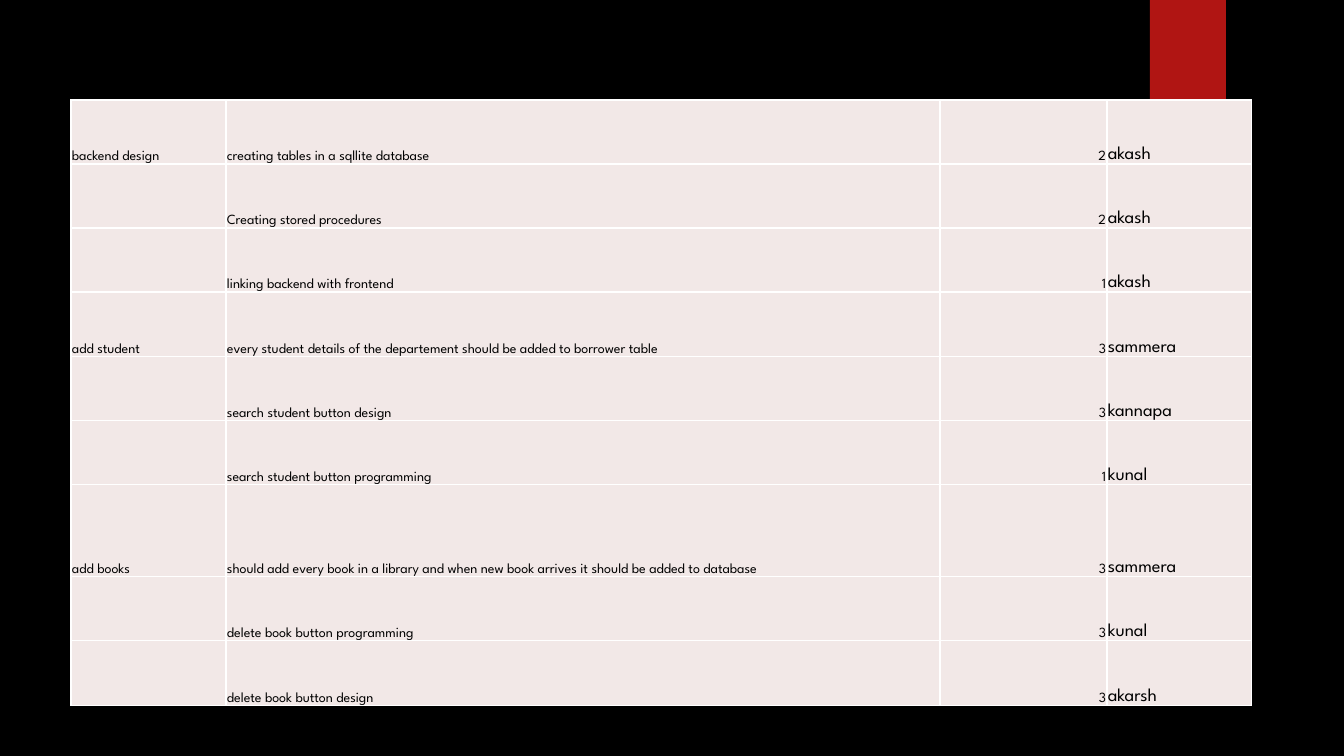
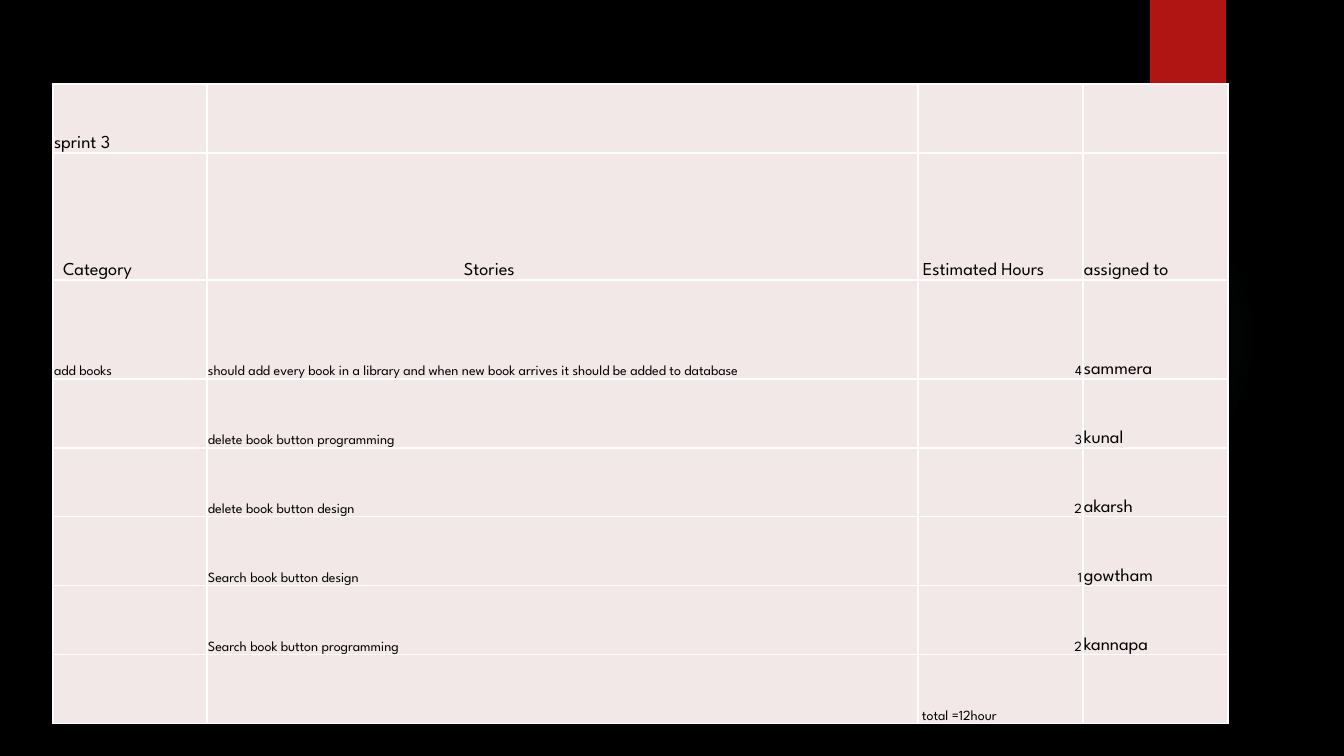
from itertools import pairwise

from lxml import etree
from pptx import Presentation
from pptx.dml.color import RGBColor
from pptx.enum.shapes import MSO_SHAPE
from pptx.enum.text import MSO_ANCHOR, PP_ALIGN
from pptx.oxml import parse_xml
from pptx.oxml.ns import nsdecls, qn
from pptx.util import Pt

RECT, OVAL = MSO_SHAPE.RECTANGLE, MSO_SHAPE.OVAL
BOTTOM = MSO_ANCHOR.BOTTOM
LEFT, RIGHT = PP_ALIGN.LEFT, PP_ALIGN.RIGHT

THEME = {
    "background": "000000", "band": "B01513", "glow": "50B9C1",
    "cell": "F2E8E7", "border": "FFFFFF", "text": "000000",
    "font": "League Spartan", "small": 10, "large": 13, "border_width": 1,
}
GLOW_STOPS = [(0, 7), (36, 6), (69, 0)]  # position and opacity, percent
HOURS, ASSIGNEE = 2, 3  # column numbers

# Column and row edges are in pixels.
# Indents map (row, column) to pixels; large rows use the large size throughout.
TABLES = [
    {
        "columns": [71, 226, 940, 1107, 1252],
        "rows": [100, 164, 228, 292, 357, 421, 485, 577, 641, 706],
        "large_rows": [],
        "indents": {},
        "cells": [
            ("backend design", "creating tables in a sqllite database", "2", "akash"),
            ("", "Creating stored procedures", "2", "akash"),
            ("", "linking backend with frontend", "1", "akash"),
            ("add student", "every student details of the departement should be "
             "added to borrower table", "3", "sammera"),
            ("", "search student button design", "3", "kannapa"),
            ("", "search student button programming", "1", "kunal"),
            ("add books", "should add every book in a library and when new book "
             "arrives it should be added to database", "3", "sammera"),
            ("", "delete book button programming", "3", "kunal"),
            ("", "delete book button design", "3", "akarsh"),
        ],
    },
    {
        "columns": [53, 207, 918, 1083, 1228],
        "rows": [84, 153, 280, 379, 448, 517, 586, 655, 724],
        "large_rows": [0, 1],
        "indents": {(1, 0): 9, (1, 1): 256, (1, 2): 4, (7, 2): 3},
        "cells": [
            ("sprint 3", "", "", ""),
            ("Category", "Stories", "Estimated Hours", "assigned to"),
            ("add books", "should add every book in a library and when new book "
             "arrives it should be added to database", "4", "sammera"),
            ("", "delete book button programming", "3", "kunal"),
            ("", "delete book button design", "2", "akarsh"),
            ("", "Search book button design", "1", "gowtham"),
            ("", "Search book button programming", "2", "kannapa"),
            ("", "", "total =12hour", ""),
        ],
    },
]


def px(n):
    """Turn pixels into EMU."""
    return round(n * 914400 / 100.8)


def add_borders(cell):
    """Draw the theme's border on all four sides of a table cell."""
    tcPr = cell._tc.get_or_add_tcPr()
    for side in ("lnL", "lnR", "lnT", "lnB"):
        ln = etree.SubElement(tcPr, qn("a:" + side), w=str(Pt(THEME["border_width"])))
        fill = etree.SubElement(ln, qn("a:solidFill"))
        etree.SubElement(fill, qn("a:srgbClr"), val=THEME["border"])


prs = Presentation()
prs.slide_width, prs.slide_height = px(1344), px(756)
fill = prs.slide_master.background.fill
fill.solid()
fill.fore_color.rgb = RGBColor.from_string(THEME["background"])

stops = "".join(
    f'<a:gs pos="{pos * 1000}"><a:srgbClr val="{THEME["glow"]}">'
    f'<a:alpha val="{alpha * 1000}"/></a:srgbClr></a:gs>'
    for pos, alpha in GLOW_STOPS
)
glow_fill = (
    f'<a:gradFill {nsdecls("a")}><a:gsLst>{stops}</a:gsLst><a:path path="circle">'
    '<a:fillToRect l="50000" t="50000" r="50000" b="50000"/></a:path></a:gradFill>'
)

for spec_table in TABLES:
    s = prs.slides.add_slide(prs.slide_layouts[6])

    glow = s.shapes.add_shape(OVAL, px(949), px(184), px(310), px(310))
    glow.shadow.inherit = False
    glow.line.fill.background()
    glow._element.spPr.find(qn("a:prstGeom")).addnext(parse_xml(glow_fill))

    band = s.shapes.add_shape(RECT, px(1150), 0, px(76), px(126))
    band.shadow.inherit = False
    band.line.fill.background()
    band.fill.solid()
    band.fill.fore_color.rgb = RGBColor.from_string(THEME["band"])

    xs, ys = spec_table["columns"], spec_table["rows"]
    table = s.shapes.add_table(
        len(ys) - 1, len(xs) - 1,
        px(xs[0]), px(ys[0]), px(xs[-1] - xs[0]), px(ys[-1] - ys[0]),
    ).table
    table.first_row = table.horz_banding = False
    for column, (start, end) in zip(table.columns, pairwise(xs)):
        column.width = px(end - start)
    for row, (start, end) in zip(table.rows, pairwise(ys)):
        row.height = px(end - start)

    for i, texts in enumerate(spec_table["cells"]):
        for j, text in enumerate(texts):
            cell = table.cell(i, j)
            add_borders(cell)
            cell.fill.solid()
            cell.fill.fore_color.rgb = RGBColor.from_string(THEME["cell"])
            cell.vertical_anchor = BOTTOM
            cell.margin_left = cell.margin_right = cell.margin_top = px(1)
            cell.margin_bottom = 0
            cell.text = text
            p = cell.text_frame.paragraphs[0]
            p.alignment = RIGHT if j == HOURS and text.isdigit() else LEFT
            large = j == ASSIGNEE or i in spec_table["large_rows"]
            p.font.size = Pt(THEME["large" if large else "small"])
            p.font.name = THEME["font"]
            p.font.color.rgb = RGBColor.from_string(THEME["text"])
            if (i, j) in spec_table["indents"]:
                p._p.get_or_add_pPr().set("marL", str(px(spec_table["indents"][i, j])))

prs.save("out.pptx")
